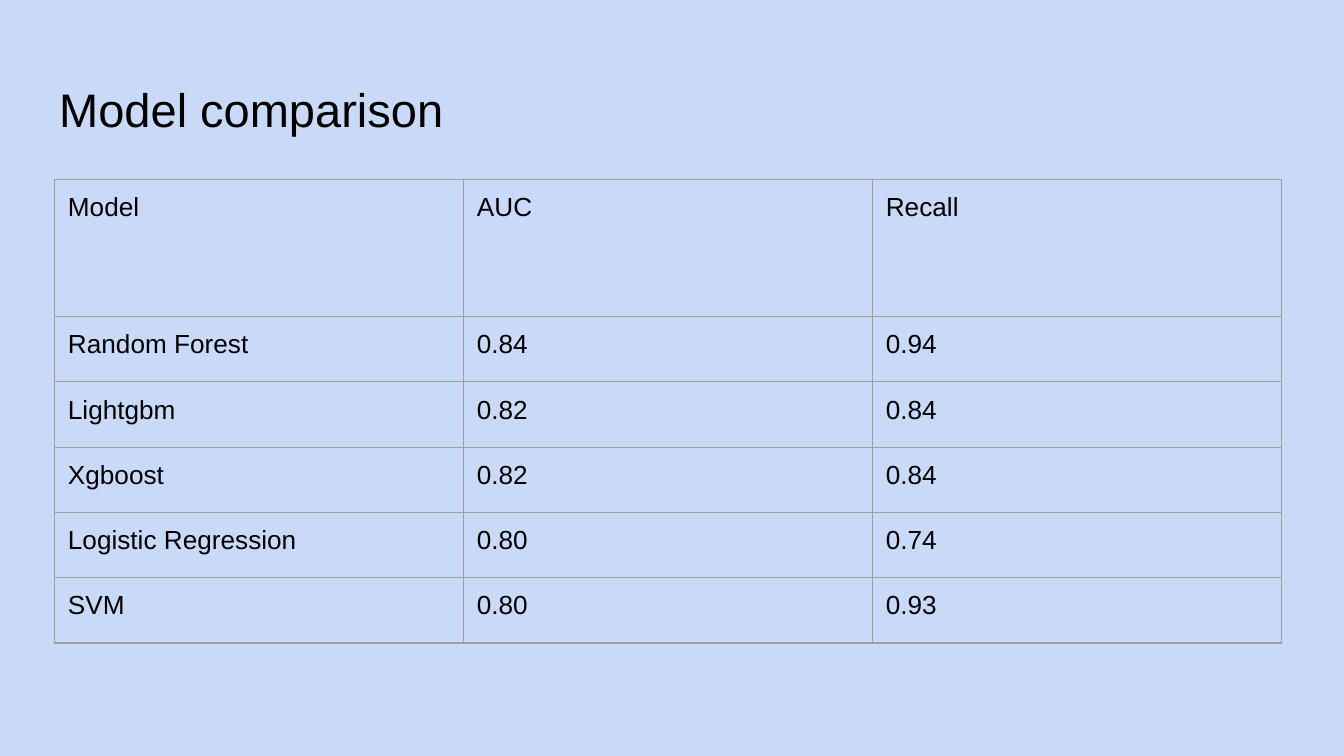
from dataclasses import dataclass

from lxml import etree
from pptx import Presentation
from pptx.dml.color import RGBColor
from pptx.enum.text import MSO_ANCHOR, MSO_AUTO_SIZE, PP_ALIGN
from pptx.oxml.ns import qn
from pptx.util import Pt

BOTTOM, TOP = MSO_ANCHOR.BOTTOM, MSO_ANCHOR.TOP
LEFT = PP_ALIGN.LEFT
NO_AUTOFIT = MSO_AUTO_SIZE.NONE
TITLE_ONLY = 5

COLORS = {"background": "C9DAF8", "text": "000000", "border": "9E9E9E"}
FONT = "Arial"
INSET = Pt(7.2)
BORDER_WIDTH = Pt(0.75)
COLUMN_WIDTH = Pt(219.1)
HEADER_HEIGHT, ROW_HEIGHT = Pt(73.4), Pt(35)


@dataclass
class ModelScore:
    model: str
    auc: str
    recall: str


HEADER = ("Model", "AUC", "Recall")
SCORES = [
    ModelScore("Random Forest", "0.84", "0.94"),
    ModelScore("Lightgbm", "0.82", "0.84"),
    ModelScore("Xgboost", "0.82", "0.84"),
    ModelScore("Logistic Regression", "0.80", "0.74"),
    ModelScore("SVM", "0.80", "0.93"),
]


def set_text(text_frame, text: str, size: float) -> None:
    text_frame.text = text
    paragraph = text_frame.paragraphs[0]
    paragraph.alignment = LEFT
    font = paragraph.runs[0].font
    font.name, font.size, font.bold = FONT, Pt(size), False
    font.color.rgb = RGBColor.from_string(COLORS["text"])


def set_insets(target) -> None:
    target.margin_left = target.margin_right = INSET
    target.margin_top = target.margin_bottom = INSET


def add_borders(cell) -> None:
    properties = cell._tc.get_or_add_tcPr()
    for side in ("a:lnL", "a:lnR", "a:lnT", "a:lnB"):
        line = etree.SubElement(properties, qn(side), w=str(int(BORDER_WIDTH)))
        fill = etree.SubElement(line, qn("a:solidFill"))
        etree.SubElement(fill, qn("a:srgbClr"), val=COLORS["border"])


def add_title(slide, text: str) -> None:
    title = slide.shapes.title
    title.left, title.top = Pt(24.5), Pt(35.3)
    title.width, title.height = Pt(671), Pt(45.4)
    text_frame = title.text_frame
    set_text(text_frame, text, 25.2)
    set_insets(text_frame)
    text_frame.word_wrap = True
    text_frame.auto_size = NO_AUTOFIT
    text_frame.vertical_anchor = BOTTOM


def add_score_table(slide, scores: list[ModelScore]) -> None:
    rows = [HEADER] + [(score.model, score.auc, score.recall) for score in scores]
    table = slide.shapes.add_table(
        len(rows), len(HEADER), Pt(29.2), Pt(96.2),
        COLUMN_WIDTH * len(HEADER), HEADER_HEIGHT + ROW_HEIGHT * len(scores),
    ).table
    table.first_row = table.horz_banding = False
    for column in table.columns:
        column.width = COLUMN_WIDTH
    for row_index, values in enumerate(rows):
        table.rows[row_index].height = ROW_HEIGHT if row_index else HEADER_HEIGHT
        for column_index, value in enumerate(values):
            cell = table.cell(row_index, column_index)
            set_text(cell.text_frame, value, 14)
            set_insets(cell)
            cell.vertical_anchor = TOP
            add_borders(cell)
            cell.fill.background()


def main() -> None:
    # Slide and background
    presentation = Presentation()
    presentation.slide_width, presentation.slide_height = Pt(720), Pt(405)
    slide = presentation.slides.add_slide(presentation.slide_layouts[TITLE_ONLY])
    background = slide.background.fill
    background.solid()
    background.fore_color.rgb = RGBColor.from_string(COLORS["background"])

    # Title and comparison table
    add_title(slide, "Model comparison")
    add_score_table(slide, SCORES)

    presentation.save("out.pptx")


if __name__ == "__main__":
    main()
